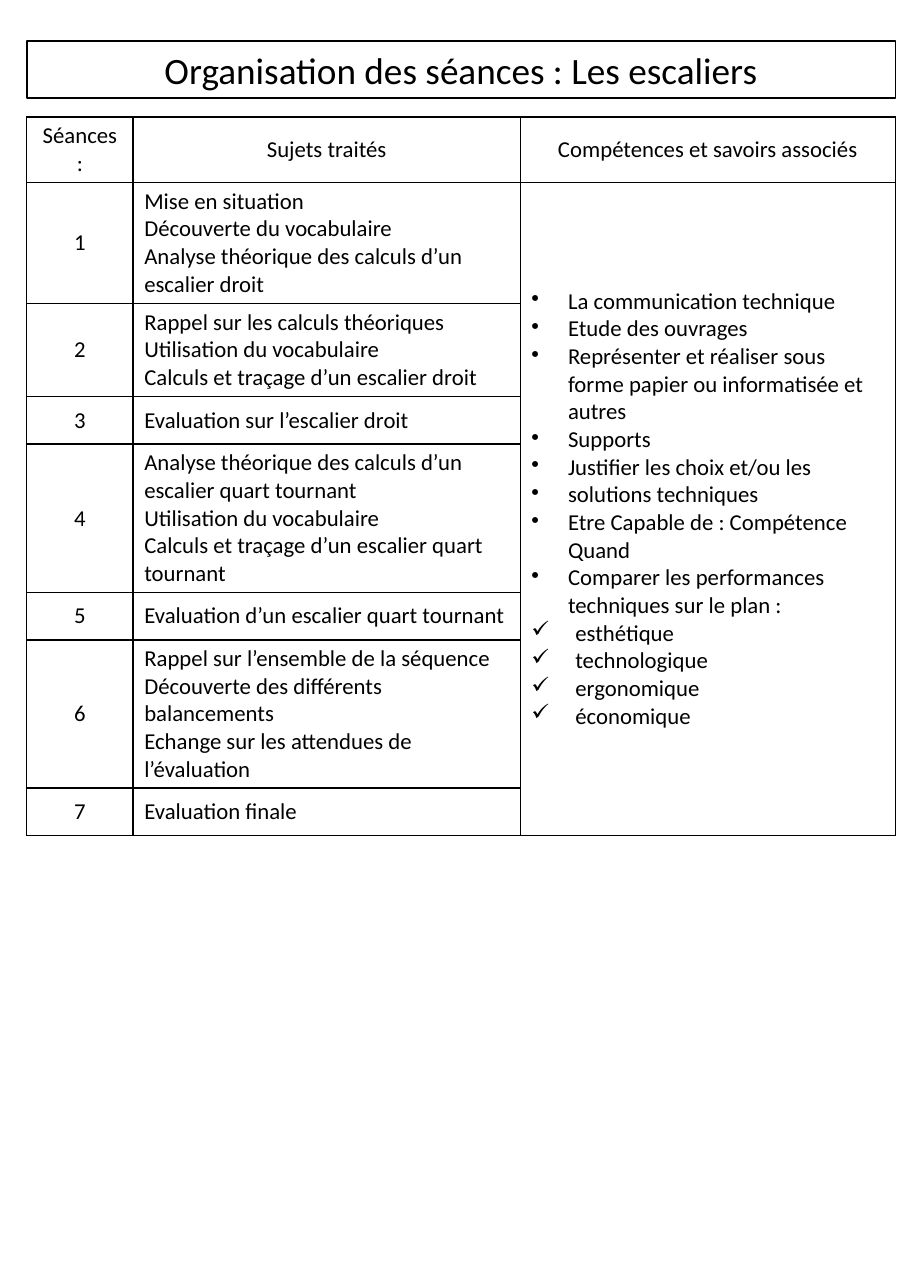
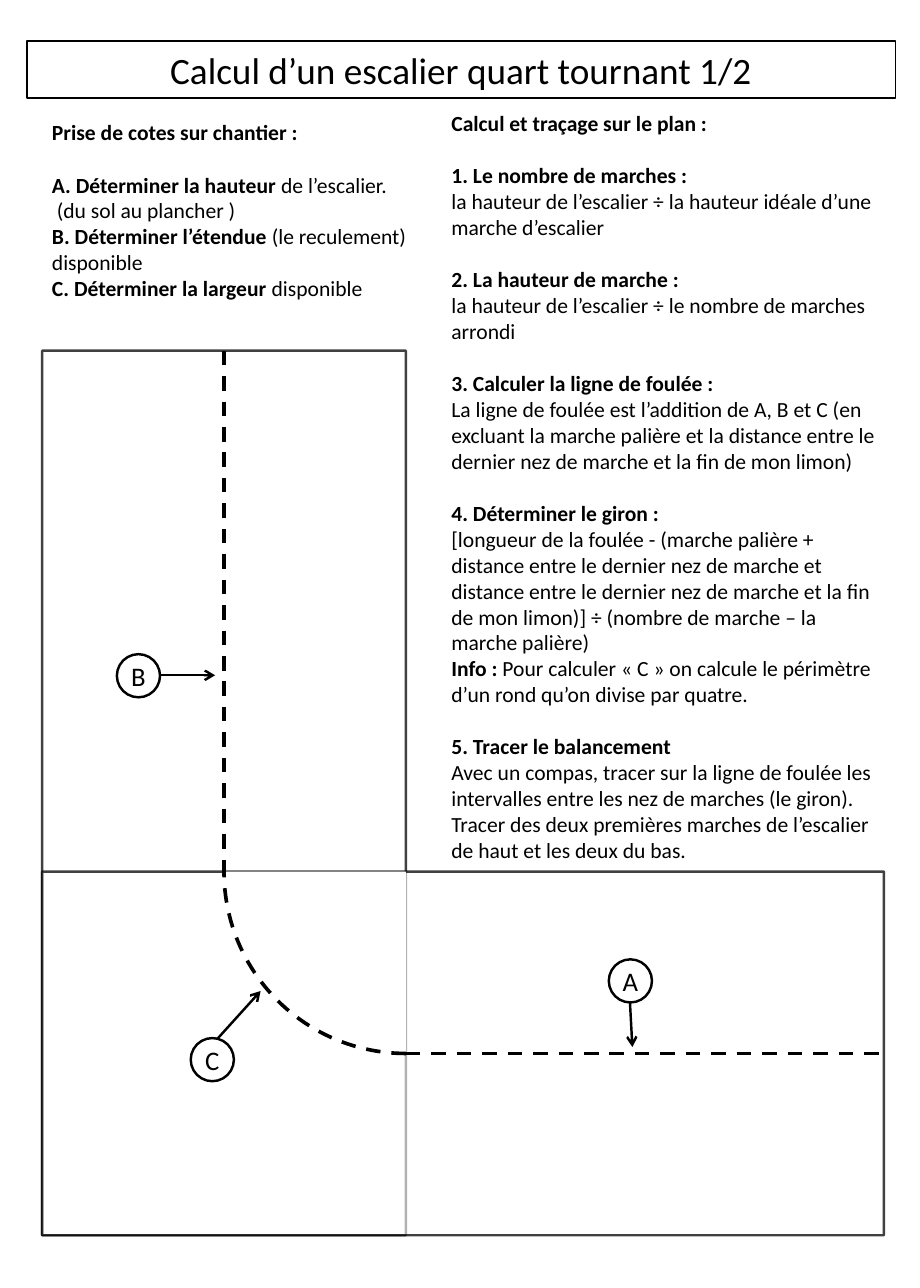
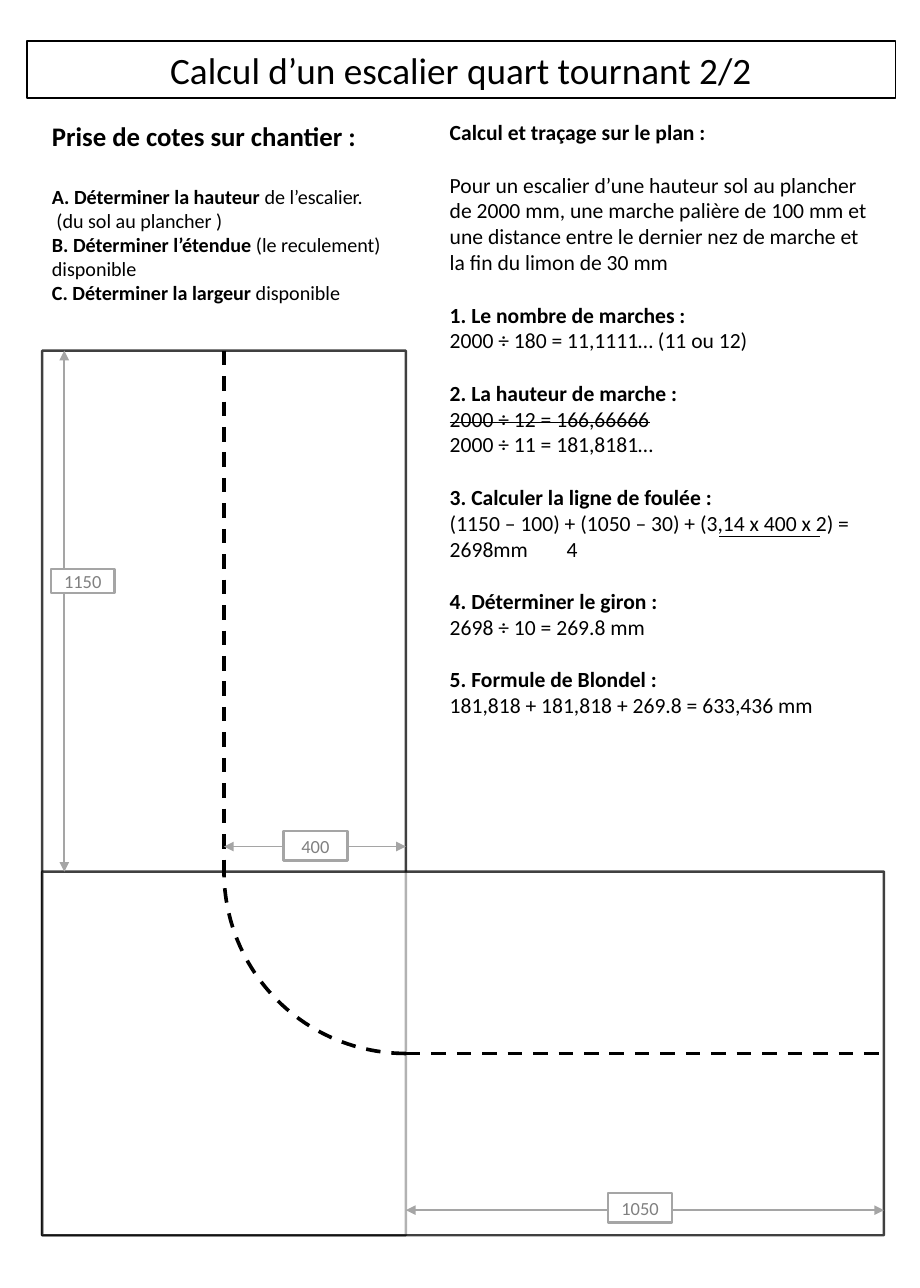
from lxml import etree
from pptx import Presentation
from pptx.dml.color import RGBColor
from pptx.enum import dml, shapes, text as txt
from pptx.oxml.ns import qn
from pptx.util import Pt

BLACK, WHITE, GREY, LABEL = "000000", "FFFFFF", "A5A5A5", "808080"
CENTER, LEFT = txt.PP_ALIGN.CENTER, txt.PP_ALIGN.LEFT
MIDDLE = txt.MSO_ANCHOR.MIDDLE


def paint(fill, colour):
    fill.solid()
    fill.fore_color.rgb = RGBColor.from_string(colour)


def write(frame, text, size=14, colour=BLACK, align=LEFT, gap=0,
          strike=False, bullet=None, indent=0, tab=195):
    """Add one paragraph; parts between asterisks are bold."""
    para = frame.add_paragraph() if frame.text else frame.paragraphs[0]
    para.alignment = align
    para.space_before, para.space_after = Pt(gap), Pt(0)
    props = para._p.get_or_add_pPr()
    props.set("marL", str(Pt(indent)))
    props.set("indent", str(-Pt(indent)))
    if bullet:
        etree.SubElement(props, qn("a:buChar"), char=bullet)
    else:
        etree.SubElement(props, qn("a:buNone"))
    if "\t" in text:
        stops = etree.SubElement(props, qn("a:tabLst"))
        etree.SubElement(stops, qn("a:tab"), pos=str(Pt(tab)), algn="l")
    for index, piece in enumerate(text.split("*")):
        if piece:
            span = para.add_run()
            span.text = piece
            span.font.name, span.font.size = "Calibri", Pt(size)
            span.font.bold = index % 2 == 1
            paint(span.font.fill, colour)
            if strike:
                span._r.get_or_add_rPr().set("strike", "sngStrike")


deck = Presentation()
deck.slide_width, deck.slide_height = Pt(566.64), Pt(793.44)

# Titles
TITLE_ONLY, TWO_CONTENT = deck.slide_layouts[5], deck.slide_layouts[3]
pages = []
for layout, heading in [
    (TITLE_ONLY, "Organisation des séances : Les escaliers"),
    (TWO_CONTENT, "Calcul d’un escalier quart tournant 1/2"),
    (TWO_CONTENT, "Calcul d’un escalier quart tournant 2/2"),
]:
    page = deck.slides.add_slide(layout)
    title = page.shapes.title
    title.left, title.top, title.width, title.height = Pt(16.5), Pt(25.2), Pt(535), Pt(35.3)
    paint(title.fill, WHITE)
    paint(title.line.fill, BLACK)
    title.line.width = Pt(1)
    frame = title.text_frame
    frame.auto_size, frame.word_wrap = txt.MSO_AUTO_SIZE.NONE, True
    frame.vertical_anchor = MIDDLE
    frame.margin_top = frame.margin_bottom = 0
    write(frame, heading, size=22.9, align=CENTER)
    pages.append(page)

# Session table
sessions = [
    (74.5, ["Mise en situation", "Découverte du vocabulaire",
            "Analyse théorique des calculs d’un escalier droit"]),
    (57.6, ["Rappel sur les calculs théoriques", "Utilisation du vocabulaire",
            "Calculs et traçage d’un escalier droit"]),
    (29.2, ["Evaluation sur l’escalier droit"]),
    (91, ["Analyse théorique des calculs d’un escalier quart tournant",
          "Utilisation du vocabulaire",
          "Calculs et traçage d’un escalier quart tournant"]),
    (29.2, ["Evaluation d’un escalier quart tournant"]),
    (91, ["Rappel sur l’ensemble de la séquence",
          "Découverte des différents balancements",
          "Echange sur les attendues de l’évaluation"]),
    (29.2, ["Evaluation finale"]),
]
skills = ["La communication technique", "Etude des ouvrages",
          "Représenter et réaliser sous forme papier ou informatisée et autres",
          "Supports", "Justifier les choix et/ou les", "solutions techniques",
          "Etre Capable de : Compétence Quand",
          "Comparer les performances techniques sur le plan :"]
criteria = ["esthétique", "technologique", "ergonomique", "économique"]

heights = [40.2] + [height for height, _ in sessions]
table = pages[0].shapes.add_table(len(heights), 3, Pt(16.5), Pt(72), Pt(535),
                                  Pt(sum(heights))).table
table.first_row = table.horz_banding = False
for column, width in zip(table.columns, (65.5, 238.5, 231)):
    column.width = Pt(width)
for row, height in zip(table.rows, heights):
    row.height = Pt(height)
for cell in table.iter_cells():
    cell.margin_left = cell.margin_right = Pt(6.9)
    cell.margin_top = cell.margin_bottom = Pt(3.1)
    cell.vertical_anchor = MIDDLE
    for side in ("lnL", "lnR", "lnT", "lnB"):
        border = etree.SubElement(cell._tc.get_or_add_tcPr(), qn("a:" + side), w=str(Pt(1)))
        solid = etree.SubElement(border, qn("a:solidFill"))
        etree.SubElement(solid, qn("a:srgbClr"), val=BLACK)
    cell.fill.background()
table.cell(1, 2).merge(table.cell(len(sessions), 2))

for column, heading in enumerate(["Séances :", "Sujets traités", "Compétences et savoirs associés"]):
    write(table.cell(0, column).text_frame, heading, align=CENTER)
for number, (_, topics) in enumerate(sessions, 1):
    write(table.cell(number, 0).text_frame, str(number), align=CENTER)
    for topic in topics:
        write(table.cell(number, 1).text_frame, topic)
for items, bullet, indent in [(skills, "•", 22.5), (criteria, "✓", 27)]:
    for item in items:
        write(table.cell(1, 2).text_frame, item, bullet=bullet, indent=indent)

# Text columns: each inner list is a block, set apart from the one before
survey_title = ["*Prise de cotes sur chantier :*"]
survey = ["*A. Déterminer la hauteur* de l’escalier.", " (du sol au plancher )",
          "*B. Déterminer l’étendue* (le reculement) disponible",
          "*C. Déterminer la largeur* disponible"]
method = [
    ["*Calcul et traçage sur le plan :*"],
    ["*1. Le nombre de marches :*",
     "la hauteur de l’escalier ÷ la hauteur idéale d’une marche d’escalier"],
    ["*2. La hauteur de marche :*",
     "la hauteur de l’escalier ÷ le nombre de marches arrondi"],
    ["*3. Calculer la ligne de foulée :*",
     "La ligne de foulée est l’addition de A, B et C (en excluant la marche palière "
     "et la distance entre le dernier nez de marche et la fin de mon limon)"],
    ["*4. Déterminer le giron :*",
     "[longueur de la foulée - (marche palière + distance entre le dernier nez de marche "
     "et distance entre le dernier nez de marche et la fin de mon limon)] ÷ "
     "(nombre de marche – la marche palière)",
     "*Info :* Pour calculer « C » on calcule le périmètre d’un rond qu’on divise par quatre."],
    ["*5. Tracer le balancement*",
     "Avec un compas, tracer sur la ligne de foulée les intervalles entre les nez de marches "
     "(le giron). Tracer des deux premières marches de l’escalier de haut et les deux du bas."],
]
example = [
    ["*Calcul et traçage sur le plan :*"],
    ["Pour un escalier d’une hauteur sol au plancher de 2000 mm, une marche palière de 100 mm "
     "et une distance entre le dernier nez de marche et la fin du limon de 30 mm"],
    ["*1. Le nombre de marches :*", "2000 ÷ 180 = 11,1111… (11 ou 12)"],
    ["*2. La hauteur de marche :*", "~2000 ÷ 12 = 166,66666", "2000 ÷ 11 = 181,8181…"],
    ["*3. Calculer la ligne de foulée :*",
     "(1150 – 100) + (1050 – 30) + (3,14 x 400 x 2) = 2698mm\t4"],
    ["*4. Déterminer le giron :*", "2698 ÷ 10 = 269.8 mm"],
    ["*5. Formule de Blondel :*", "181,818 + 181,818 + 269.8 = 633,436 mm"],
]
for page, position, area, blocks, first_size, size in [
    (pages[1], 1, (25.5, 70, 245, 120), [survey_title, survey], 13.3, 13.3),
    (pages[1], 2, (271.5, 64, 278, 476), method, 13.3, 13.3),
    (pages[2], 1, (25.5, 70, 245, 122), [survey_title, survey], 16.5, 12.4),
    (pages[2], 2, (270.5, 70, 271.5, 379), example, 13.3, 13.3),
]:
    box = page.placeholders[position]
    box.left, box.top, box.width, box.height = map(Pt, area)
    frame = box.text_frame
    frame.auto_size, frame.word_wrap = txt.MSO_AUTO_SIZE.NONE, True
    frame.vertical_anchor = txt.MSO_ANCHOR.TOP
    frame.margin_left = frame.margin_right = Pt(6.5)
    frame.margin_top = frame.margin_bottom = Pt(3.5)
    for block_index, block in enumerate(blocks):
        for line_index, line in enumerate(block):
            spaced = block_index > 0 and line_index == 0
            write(frame, line.lstrip("~"), size=size if block_index else first_size,
                  gap=first_size * 1.22 if spaced else 0, strike=line.startswith("~"))

# Staircase plan: two flights meeting in a quarter turn
PLAN_LEFT, PLAN_RIGHT, PLAN_TOP, PLAN_BOTTOM = 26, 544.5, 216, 761
TURN_X, TURN_Y = 250, 537
WALK_X, WALK_Y = 138, 649
RADIUS = TURN_X - WALK_X
walk_lines = [
    (WALK_X, PLAN_TOP, WALK_X, TURN_Y, BLACK, 2.25, None),
    (TURN_X, WALK_Y, PLAN_RIGHT, WALK_Y, BLACK, 2.25, None),
]
pointers = [
    (388, 617, 389.5, 645, BLACK, 1.5, "arrow"),
    (98.6, 416, 132.5, 416, BLACK, 1.5, "arrow"),
    (132.5, 641.5, 160.5, 610.5, BLACK, 1.5, "arrow"),
]
dimensions = [
    (39.6, PLAN_TOP, 39.6, TURN_Y, GREY, 1, "triangle"),
    (TURN_X, 745.5, PLAN_RIGHT, 745.5, GREY, 1, "triangle"),
    (WALK_X, 521.5, TURN_X, 521.5, GREY, 1, "triangle"),
    (443, 330.5, 505, 330.5, BLACK, 0.5, None),
]
OVAL, RECT = shapes.MSO_SHAPE.OVAL, shapes.MSO_SHAPE.RECTANGLE
letters = [("A", 375, 591, 26.6, 26.6), ("B", 72, 403, 26.6, 26.6), ("C", 117.5, 639.5, 26.6, 26.6)]
measures = [("1150", 31.5, 350.5, 39, 15), ("1050", 374.5, 735, 39.5, 18), ("400", 174.5, 512, 39.5, 18)]

for page, arc_fill, lines, labels, outline, edge, size, colour in [
    (pages[1], WHITE, pointers, letters, OVAL, BLACK, 16.5, BLACK),
    (pages[2], None, dimensions, measures, RECT, GREY, 11.4, LABEL),
]:
    for top, right in [(PLAN_TOP, TURN_X), (TURN_Y, PLAN_RIGHT)]:
        flight = page.shapes.add_shape(RECT, Pt(PLAN_LEFT), Pt(top),
                                       Pt(right - PLAN_LEFT), Pt(PLAN_BOTTOM - top))
        flight.shadow.inherit = False
        paint(flight.fill, WHITE)
        paint(flight.line.fill, BLACK)
        flight.line.width = Pt(1.5)
        for node, alpha in zip(flight.element.xpath("p:spPr//a:srgbClr"), ("60000", "75000")):
            etree.SubElement(node, qn("a:alpha"), val=alpha)

    turn = page.shapes.add_shape(shapes.MSO_SHAPE.ARC, Pt(WALK_X), Pt(TURN_Y - RADIUS),
                                 Pt(2 * RADIUS), Pt(2 * RADIUS))
    turn.adjustments[0], turn.adjustments[1] = 54, 108  # 90 and 180 degrees
    turn.shadow.inherit = False
    if arc_fill:
        paint(turn.fill, arc_fill)
    else:
        turn.fill.background()
    paint(turn.line.fill, BLACK)
    turn.line.width, turn.line.dash_style = Pt(2.25), dml.MSO_LINE.DASH

    for line in walk_lines + lines:
        *ends, line_colour, weight, arrow = line
        connector = page.shapes.add_connector(shapes.MSO_CONNECTOR.STRAIGHT, *map(Pt, ends))
        paint(connector.line.fill, line_colour)
        connector.line.width = Pt(weight)
        if line in walk_lines:
            connector.line.dash_style = dml.MSO_LINE.DASH
        stroke = connector.element.xpath("p:spPr/a:ln")[0]
        if arrow == "triangle":
            etree.SubElement(stroke, qn("a:headEnd"), type=arrow)
        if arrow:
            etree.SubElement(stroke, qn("a:tailEnd"), type=arrow)
        etree.SubElement(connector.element.spPr, qn("a:effectLst"))

    for label, *area in labels:
        tag = page.shapes.add_shape(outline, *map(Pt, area))
        tag.shadow.inherit = False
        paint(tag.fill, WHITE)
        paint(tag.line.fill, edge)
        tag.line.width = Pt(1.5)
        frame = tag.text_frame
        frame.margin_left = frame.margin_right = frame.margin_top = frame.margin_bottom = 0
        frame.vertical_anchor = MIDDLE
        write(frame, label, size=size, colour=colour, align=CENTER)

deck.save("out.pptx")
